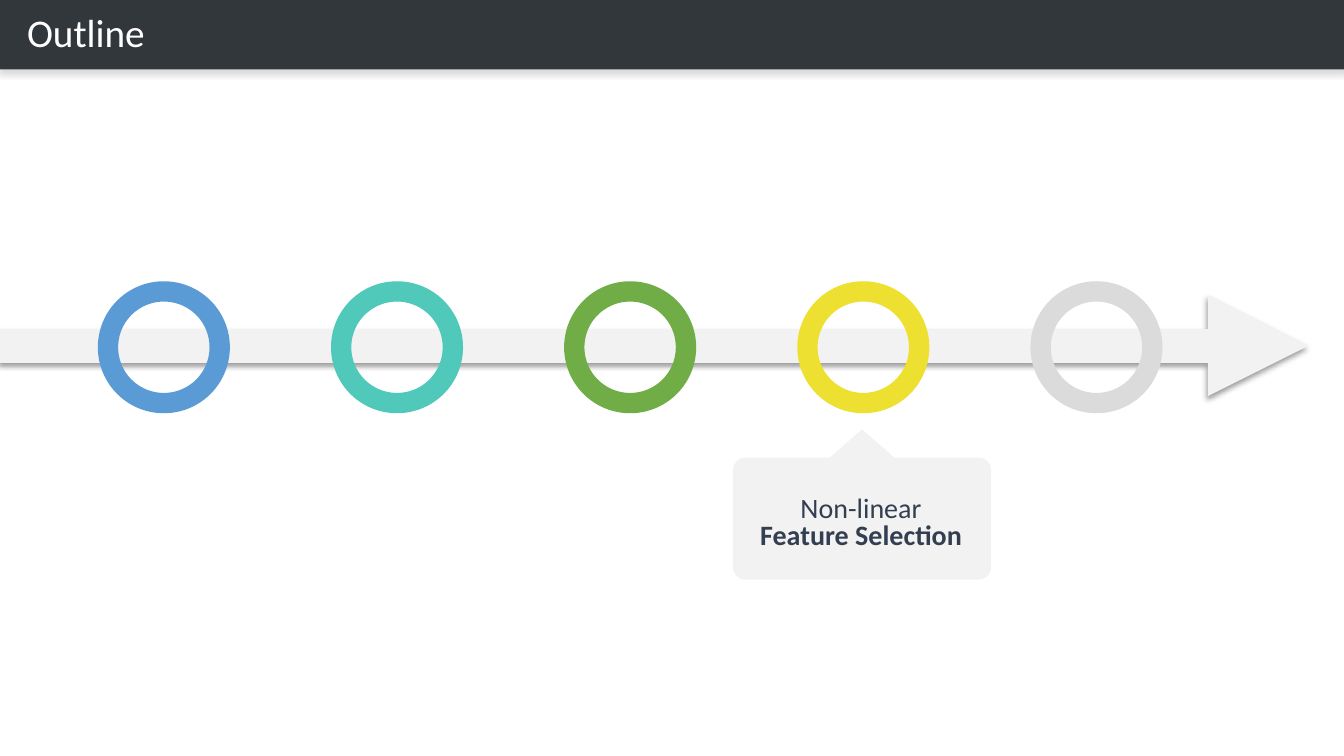
"""Build the outline slide: a timeline arrow with five rings and one callout."""
from lxml.etree import SubElement
from pptx import Presentation
from pptx.dml.color import RGBColor
from pptx.enum.shapes import MSO_CONNECTOR, MSO_SHAPE
from pptx.enum.text import MSO_ANCHOR, PP_ALIGN
from pptx.oxml.ns import qn
from pptx.util import Inches, Pt

COLORS = {
    "header": "32373C", "pale": "F2F2F2", "white": "FFFFFF", "ink": "333F50",
    "blue": "5B9BD5", "teal": "50C8BA", "green": "70AD47",
    "yellow": "EDE031", "gray": "DBDBDB", "shadow": "000000",
}


def add_filled(page, kind, place, color, adjustment=None):
    """Add a borderless shape with a solid fill and no shadow."""
    shape = page.shapes.add_shape(kind, *map(Inches, place))
    shape.shadow.inherit = False
    shape.fill.solid()
    shape.fill.fore_color.rgb = RGBColor.from_string(COLORS[color])
    shape.line.fill.background()
    if adjustment is not None:
        shape.adjustments[0] = adjustment
    return shape


deck = Presentation()
deck.slide_width, deck.slide_height = Inches(13.33), Inches(7.5)
page = deck.slides.add_slide(deck.slide_layouts[6])

header = add_filled(page, MSO_SHAPE.RECTANGLE, (-0.01, -0.01, 13.35, 0.7), "header")

timeline = page.shapes.add_connector(
    MSO_CONNECTOR.STRAIGHT, Inches(0), Inches(3.43), Inches(12.98), Inches(3.43))
timeline.line.width = Pt(24)
timeline.line.color.rgb = RGBColor.from_string(COLORS["pale"])
SubElement(timeline.line._get_or_add_ln(), qn("a:tailEnd"), type="triangle")
SubElement(timeline._element.spPr, qn("a:effectLst"))

for shape, angle, opacity in ((header, 90, 15), (timeline, 135, 40)):
    effects = shape._element.spPr.find(qn("a:effectLst"))
    shadow = SubElement(
        effects, qn("a:outerShdw"), blurRad=str(Pt(4)), dist=str(Pt(3)),
        dir=str(angle * 60000), algn="t", rotWithShape="0")
    tint = SubElement(shadow, qn("a:srgbClr"), val=COLORS["shadow"])
    SubElement(tint, qn("a:alpha"), val=str(opacity * 1000))

for step, color in enumerate(("blue", "teal", "green", "yellow", "gray")):
    left = 0.97 + step * 2.3125
    add_filled(page, MSO_SHAPE.DONUT, (left, 2.79, 1.31, 1.31), color, 0.154)

add_filled(page, MSO_SHAPE.DIAMOND, (8.19, 4.26, 0.72, 0.63), "pale")
add_filled(page, MSO_SHAPE.ROUNDED_RECTANGLE, (7.27, 4.54, 2.56, 1.21), "pale", 0.103)

texts = (
    ((0.17, 0.03, 12.64, 0.64), [("Outline", False)], "white", 28,
     {"alignment": PP_ALIGN.LEFT, "line_spacing": 0.9}),
    ((7.27, 4.72, 2.54, 0.96), [("Non-linear", False), ("Feature Selection", True)], "ink", 20,
     {"alignment": PP_ALIGN.CENTER, "line_spacing": 0.8}),
)
for place, lines, color, size, layout in texts:
    box = page.shapes.add_textbox(*map(Inches, place))
    box.text_frame.word_wrap = True
    box.text_frame.vertical_anchor = MSO_ANCHOR.MIDDLE
    para = box.text_frame.paragraphs[0]
    for name, value in layout.items():
        setattr(para, name, value)
    for number, (words, bold) in enumerate(lines):
        if number:
            para.add_line_break()
        span = para.add_run()
        span.text = words
        span.font.color.rgb = RGBColor.from_string(COLORS[color])
        for name, value in {"name": "Calibri", "size": Pt(size), "bold": bold}.items():
            setattr(span.font, name, value)

deck.save("out.pptx")
